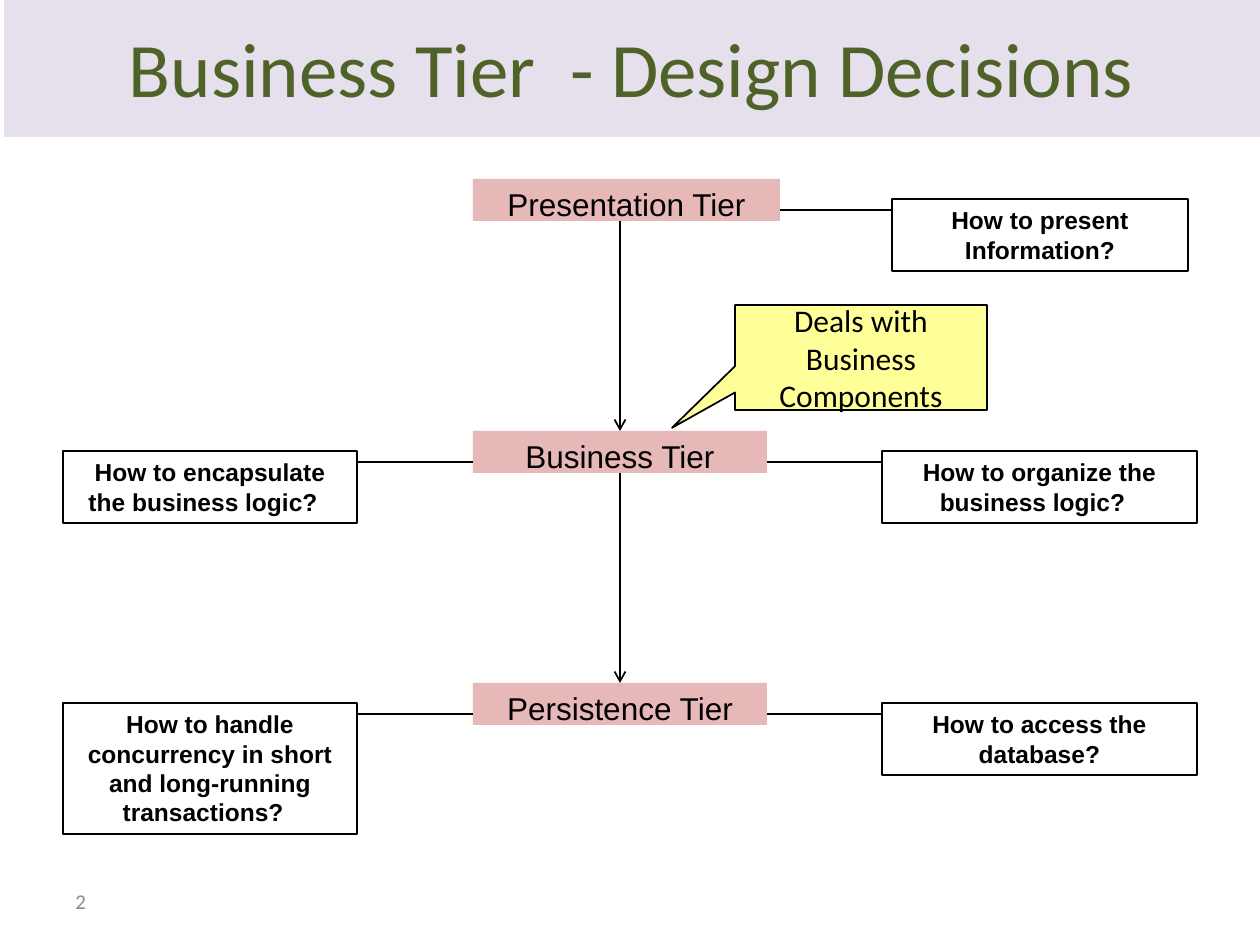
"""Build the slide on design decisions of the business tier."""
from lxml import etree
from pptx import Presentation
from pptx.dml.color import RGBColor
from pptx.enum.shapes import MSO_CONNECTOR, MSO_SHAPE
from pptx.enum.text import MSO_ANCHOR, PP_ALIGN
from pptx.oxml.ns import qn
from pptx.util import Pt

RECT = MSO_SHAPE.RECTANGLE
CALL = MSO_SHAPE.RECTANGULAR_CALLOUT
LINE = MSO_CONNECTOR.STRAIGHT
TOP, MID = MSO_ANCHOR.TOP, MSO_ANCHOR.MIDDLE
LEFT, MIDST = PP_ALIGN.LEFT, PP_ALIGN.CENTER
HUES = {"band": "E6E0EC", "title": "4F6228", "tier": "E6B9B8",
        "call": "FFFF99", "ink": "000000", "page": "8C8C8C"}
SCALE = 914400 / 126
STEP = 252

deck = Presentation()
deck.slide_width, deck.slide_height = round(1260 * SCALE), round(945 * SCALE)
slide = deck.slides.add_slide(deck.slide_layouts[6])


def box(spot, text, size, font, fill=None, edge=0, ink="ink", bold=False,
        kind=RECT, hold=TOP, side=MIDST, gap=True):
    shape = slide.shapes.add_shape(kind, *[round(n * SCALE) for n in spot])
    shape.shadow.inherit = False
    if fill:
        shape.fill.solid()
        shape.fill.fore_color.rgb = RGBColor.from_string(HUES[fill])
    else:
        shape.fill.background()
    if edge:
        shape.line.color.rgb = RGBColor.from_string(HUES["ink"])
        shape.line.width = Pt(edge)
    else:
        shape.line.fill.background()
    frame = shape.text_frame
    frame.word_wrap = True
    frame.vertical_anchor = hold
    frame.text = text
    para = frame.paragraphs[0]
    para.alignment = side
    if gap:
        space = etree.SubElement(para._p.get_or_add_pPr(), qn("a:spcBef"))
        etree.SubElement(space, qn("a:spcPct"), val="50000")
    face = para.runs[0].font
    face.name, face.size, face.bold = font, Pt(size), bold
    face.color.rgb = RGBColor.from_string(HUES[ink])
    return shape


def link(x1, y1, x2, y2, head=False):
    line = slide.shapes.add_connector(
        LINE, *[round(n * SCALE) for n in (x1, y1, x2, y2)])
    line.line.color.rgb = RGBColor.from_string(HUES["ink"])
    line.line.width = Pt(1)
    if head:
        etree.SubElement(line.line._get_or_add_ln(), qn("a:tailEnd"), type="arrow")
    etree.SubElement(line._element.spPr, qn("a:effectLst"))


box((4, -3, 1256, 140), "Business Tier  - Design Decisions", 44, "Calibri",
    fill="band", ink="title", hold=MID, gap=False)
box((63, 876, 294, 50), "2", 12, "Calibri", ink="page", hold=MID, side=LEFT,
    gap=False)

tiers = [("Presentation Tier", 307), ("Business Tier", 294),
         ("Persistence Tier", 294)]
for row, (name, wide) in enumerate(tiers):
    y = 179 + row * STEP
    if row:
        link(620, y - STEP + 42, 620, y, head=True)
    box((473, y, wide, 42), name, 18, "Arial", fill="tier")

notes = [
    (0, 892, 296, 72, "How to present Information?"),
    (1, 882, 315, 72, "How to organize the business logic?  "),
    (1, 63, 294, 72, "How to encapsulate the business logic?  "),
    (2, 882, 315, 72, "How to access the database?"),
    (2, 63, 294, 131, "How to handle concurrency in short and "
                      "long-running transactions?  "),
]
for row, x, wide, high, text in notes:
    y = 199 + row * STEP
    box((x, y, wide, high), text, 14, "Arial", edge=0.75, bold=True)
    ends = (473 + tiers[row][1], x) if x > 473 else (x + wide, 473)
    link(ends[0], y + 11, ends[1], y + 11)

call = box((735, 305, 252, 105), "Deals with Business Components", 18,
           "Calibri", fill="call", edge=1, kind=CALL, hold=MID)
call.adjustments[0], call.adjustments[1] = -0.75, 0.67

deck.save("out.pptx")
